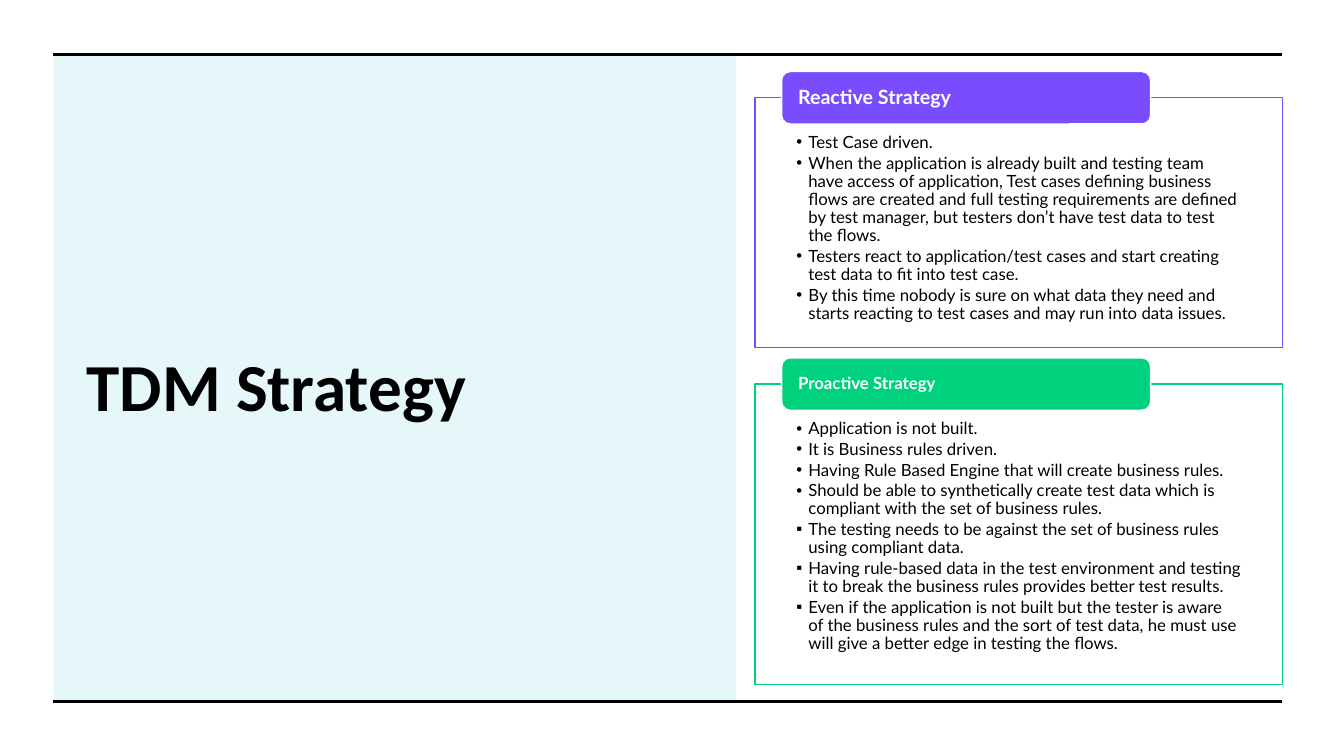
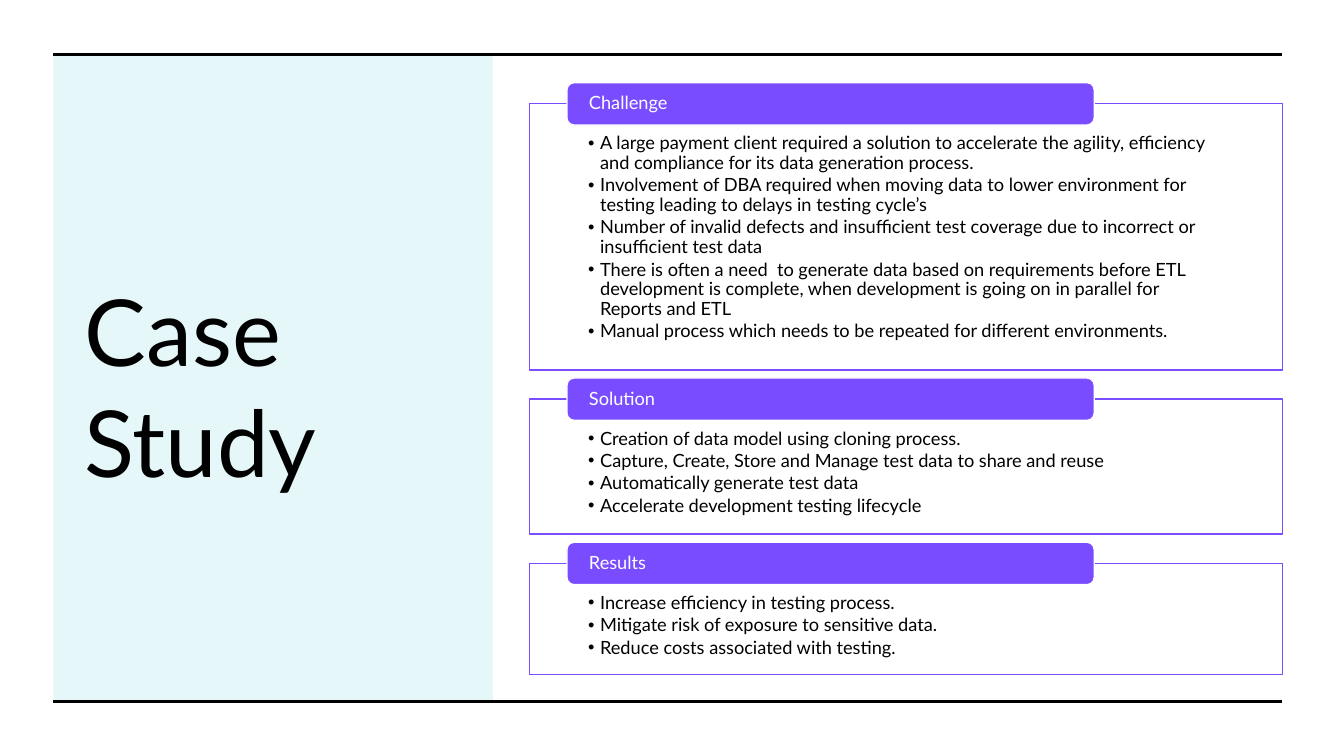
import pptx
import pptx.util
import pptx.dml.color
import pptx.enum.shapes
import pptx.enum.text
import pptx.oxml.ns
from lxml import etree

Inches, Pt = pptx.util.Inches, pptx.util.Pt
SHAPE = pptx.enum.shapes.MSO_SHAPE
ANCHOR = pptx.enum.text.MSO_ANCHOR
ALIGN = pptx.enum.text.PP_ALIGN
qn = pptx.oxml.ns.qn

COLORS = {"ink": "000000", "paper": "FFFFFF", "teal": "00BAC8",
          "violet": "794DFF", "green": "00D17D"}

# Content: a section is (heading, heading size, colour, box height, bullets)
ROUND, SQUARE = "•", "▪"
SLIDES = [
    {
        "title": "TDM Strategy",
        "title_font": {"name": "Calibri", "size": Pt(48), "bold": True},
        "title_box": (0.76, 4.53), "panel_width": 6.77,
        "left": 7.49, "top": 0.97, "gap": 0.36, "tab_height": 0.52,
        "body_size": 12, "body_inset": (0.36, 0.09),
        "sections": [
            ("Reactive Strategy", 14, "violet", 2.48, [
                (ROUND, "Test Case driven."),
                (ROUND, "When the application is already built and testing team have access of "
                        "application, Test cases defining business flows are created and full "
                        "testing requirements are defined by test manager, but testers don’t "
                        "have test data to test the flows."),
                (ROUND, "Testers react to application/test cases and start creating test data "
                        "to fit into test case."),
                (ROUND, "By this time nobody is sure on what data they need and starts reacting "
                        "to test cases and may run into data issues."),
            ]),
            ("Proactive Strategy", 12, "green", 2.98, [
                (ROUND, "Application is not built."),
                (ROUND, "It is Business rules driven."),
                (ROUND, "Having Rule Based Engine that will create business rules."),
                (ROUND, "Should be able to synthetically create test data which is compliant "
                        "with the set of business rules."),
                (SQUARE, "The testing needs to be against the set of business rules using "
                         "compliant data."),
                (SQUARE, "Having rule-based data in the test environment and testing it to "
                         "break the business rules provides better test results."),
                (SQUARE, "Even if the application is not built but the tester is aware of the "
                         "business rules and the sort of test data, he must use will give a "
                         "better edge in testing the flows."),
            ]),
        ],
    },
    {
        "title": "Case Study",
        "title_font": {"name": "Lato", "size": Pt(66), "bold": False},
        "title_box": (0.74, 3.89), "panel_width": 4.36,
        "left": 5.25, "top": 1.03, "gap": 0.29, "tab_height": 0.42,
        "body_size": 13, "body_inset": (0.3, 0.1),
        "sections": [
            ("Challenge", 13, "violet", 2.64, [
                (ROUND, "A large payment client required a solution to accelerate the agility, "
                        "efficiency and compliance for its data generation process."),
                (ROUND, "Involvement of DBA required when moving data to lower environment for "
                        "testing leading to delays in testing cycle’s"),
                (ROUND, "Number of invalid defects and insufficient test coverage due to "
                        "incorrect or insufficient test data"),
                (ROUND, "There is often a need  to generate data based on requirements before "
                        "ETL development is complete, when development is going on in parallel "
                        "for Reports and ETL"),
                (ROUND, "Manual process which needs to be repeated for different environments."),
            ]),
            ("Solution", 13, "violet", 1.34, [
                (ROUND, "Creation of data model using cloning process."),
                (ROUND, "Capture, Create, Store and Manage test data to share and reuse"),
                (ROUND, "Automatically generate test data"),
                (ROUND, "Accelerate development testing lifecycle"),
            ]),
            ("Results", 13, "violet", 1.1, [
                (ROUND, "Increase efficiency in testing process."),
                (ROUND, "Mitigate risk of exposure to sensitive data."),
                (ROUND, "Reduce costs associated with testing."),
            ]),
        ],
    },
]

# Shared frame
LEFT, RIGHT, TOP, BOTTOM = 0.53, 12.72, 0.54, 6.96
TITLE_TOP, TITLE_HEIGHT = 1.07, 5.5

# Shares of a section box's width
TAB_OFFSET, TAB_WIDTH, TAB_INSET, BODY_INSET = 0.05, 0.7, 0.0265, 0.078
BULLET_INDENT = 0.12
BODY_SPACE_AFTER = 0.15  # share of the text size


def rgb(name):
    return pptx.dml.color.RGBColor.from_string(COLORS[name])


def assign(target, values):
    for name, value in values.items():
        setattr(target, name, value)


def add_box(page, kind, area, fill, line=None, opacity=100):
    box = page.shapes.add_shape(kind, *map(Inches, area))
    box.shadow.inherit = False
    box.fill.solid()
    box.fill.fore_color.rgb = rgb(fill)
    if opacity < 100:
        color = box.fill._xPr.find(qn("a:solidFill"))[0]
        etree.SubElement(color, qn("a:alpha"), val=str(opacity * 1000))
    if line:
        box.line.color.rgb = rgb(line)
        box.line.width = Pt(1)
    else:
        box.line.fill.background()
    return box


def set_frame(box, anchor, insets):
    sides = ("margin_left", "margin_top", "margin_right", "margin_bottom")
    assign(box.text_frame, {"word_wrap": True, "vertical_anchor": anchor,
                            **dict(zip(sides, map(Inches, insets)))})
    return box.text_frame


def write(para, text, color, font, **spacing):
    assign(para, {"alignment": ALIGN.LEFT, **spacing})
    span = para.add_run()
    span.text = text
    assign(span.font, font)
    span.font.color.rgb = rgb(color)


def add_bullet(para, mark):
    props = para._p.get_or_add_pPr()
    indent = Inches(BULLET_INDENT)
    props.set("marL", str(indent))
    props.set("indent", str(-indent))
    etree.SubElement(props, qn("a:buFont"), typeface="Arial")
    etree.SubElement(props, qn("a:buChar"), char=mark)


def add_rule(page, y):
    line = page.shapes.add_connector(pptx.enum.shapes.MSO_CONNECTOR.STRAIGHT,
                                     *map(Inches, (LEFT, y, RIGHT, y)))
    line.line.color.rgb = rgb("ink")
    line.line.width = Pt(2.25)
    etree.SubElement(line._element.spPr, qn("a:effectLst"))


def add_frame(page, content):
    add_box(page, SHAPE.RECTANGLE, (LEFT, TOP, content["panel_width"], BOTTOM - TOP),
            "teal", opacity=10)
    left, width = content["title_box"]
    title = page.shapes.add_textbox(*map(Inches, (left, TITLE_TOP, width, TITLE_HEIGHT)))
    frame = set_frame(title, ANCHOR.MIDDLE, (0.1, 0.05, 0.1, 0.05))
    write(frame.paragraphs[0], content["title"], "ink", content["title_font"])
    for y in (TOP, BOTTOM):
        add_rule(page, y)


def add_section(page, content, top, section):
    heading, heading_size, color, height, bullets = section
    left, tab_height = content["left"], content["tab_height"]
    width = RIGHT - left

    # Outlined body with bullets
    body = add_box(page, SHAPE.RECTANGLE, (left, top, width, height), "paper", color, 90)
    side = BODY_INSET * width
    upper, lower = content["body_inset"]
    frame = set_frame(body, ANCHOR.TOP, (side, upper, side, lower))
    size = content["body_size"]
    for index, (mark, text) in enumerate(bullets):
        para = frame.add_paragraph() if index else frame.paragraphs[0]
        write(para, text, "ink", {"name": "Lato", "size": Pt(size)},
              line_spacing=0.9, space_after=Pt(BODY_SPACE_AFTER * size))
        add_bullet(para, mark)

    # Heading tab centred on the top edge
    tab = add_box(page, SHAPE.ROUNDED_RECTANGLE,
                  (left + TAB_OFFSET * width, top - tab_height / 2,
                   TAB_WIDTH * width, tab_height), color, "paper")
    side = TAB_INSET * width
    frame = set_frame(tab, ANCHOR.MIDDLE, (side, 0, side, 0))
    write(frame.paragraphs[0], heading, "paper",
          {"name": "Lato", "size": Pt(heading_size), "bold": content["title_font"]["bold"]},
          line_spacing=0.9)


def main():
    deck = pptx.Presentation()
    assign(deck, {"slide_width": Inches(13.33), "slide_height": Inches(7.5)})
    for content in SLIDES:
        page = deck.slides.add_slide(deck.slide_layouts[6])
        add_frame(page, content)
        top = content["top"]
        for section in content["sections"]:
            add_section(page, content, top, section)
            top += section[3] + content["gap"]
    deck.save("out.pptx")


if __name__ == "__main__":
    main()
